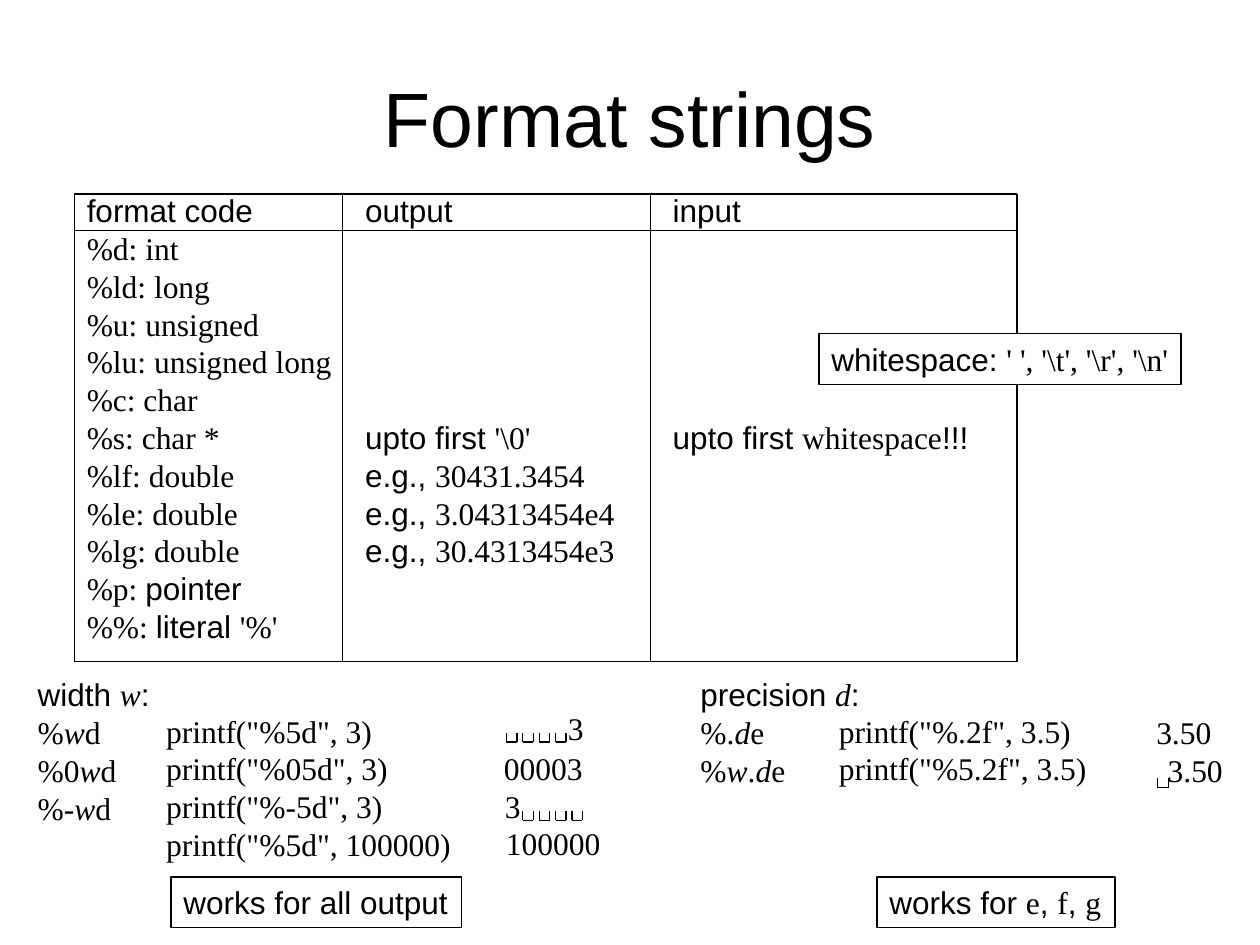
from pptx import Presentation
from pptx.dml.color import RGBColor
from pptx.enum.shapes import MSO_CONNECTOR, MSO_SHAPE
from pptx.enum.text import MSO_ANCHOR as Anchor, PP_ALIGN as Align
from pptx.oxml import parse_xml
from pptx.oxml.ns import nsdecls
from pptx.util import Cm, Pt

BLACK = RGBColor(0, 0, 0)
WHITE = RGBColor(255, 255, 255)
SANS, SERIF = "Arial", "Times New Roman"
LINE_PT = 21.6
LINE_CM = 0.76


def sans(text):
    return text, SANS, False


def code(text):
    return text, SERIF, False


def var(text):
    return text, SERIF, True


class Slide:
    def __init__(self, prs):
        self.s = prs.slides.add_slide(prs.slide_layouts[6])

    def title(self, text, x, y, w, h):
        tf = self.s.shapes.add_textbox(Cm(x), Cm(y), Cm(w), Cm(h)).text_frame
        tf.word_wrap = True
        tf.vertical_anchor = Anchor.MIDDLE
        p = tf.paragraphs[0]
        p.text = text
        p.alignment = Align.CENTER
        p.font.name, p.font.size, p.font.color.rgb = SANS, Pt(44), BLACK

    def fill_text(self, tf, lines, skipped=0):
        """Write the lines, leaving a gap of skipped lines below the first."""
        tf.word_wrap = False
        tf.vertical_anchor = Anchor.TOP
        for i, runs in enumerate(lines):
            p = tf.paragraphs[0] if i == 0 else tf.add_paragraph()
            p.alignment = Align.LEFT
            p.line_spacing = Pt(LINE_PT)
            if i == 1 and skipped:
                p.space_before = Pt(LINE_PT * skipped)
            p.font.size, p.font.color.rgb = Pt(18), BLACK
            for text, font, italic in runs:
                r = p.add_run()
                r.text = text
                if len(runs) == 1:
                    p.font.name = font
                else:
                    r.font.name, r.font.italic = font, italic

    def text(self, lines, x, y, w, skipped=0, shapes=None):
        h = (len(lines) + skipped) * LINE_CM + 0.25
        shapes = shapes or self.s.shapes
        sp = shapes.add_textbox(Cm(x), Cm(y), Cm(w), Cm(h))
        self.fill_text(sp.text_frame, lines, skipped)

    def note(self, runs, x, y, w, fill=None):
        sp = self.s.shapes.add_shape(MSO_SHAPE.RECTANGLE, Cm(x), Cm(y), Cm(w), Cm(1.02))
        sp.shadow.inherit = False
        if fill is None:
            sp.fill.background()
        else:
            sp.fill.solid()
            sp.fill.fore_color.rgb = fill
        sp.line.color.rgb, sp.line.width = BLACK, Pt(0.75)
        self.fill_text(sp.text_frame, [runs])

    def line(self, x1, y1, x2, y2, shapes=None):
        shapes = shapes or self.s.shapes
        c = shapes.add_connector(MSO_CONNECTOR.STRAIGHT, Cm(x1), Cm(y1), Cm(x2), Cm(y2))
        c.line.color.rgb, c.line.width = BLACK, Pt(0.75)
        c._element.spPr.append(parse_xml(f"<a:effectLst {nsdecls('a')}/>"))

    def padded(self, text, x, y, w, pad_x, pad_y, count):
        """A number grouped with its visible spaces, drawn as open boxes."""
        shapes = self.s.shapes.add_group_shape().shapes
        self.text([[code(text)]], x, y, w, shapes=shapes)
        for i in range(count):
            left = pad_x + 0.33 * i
            right, top = left + 0.21, pad_y - 0.19
            self.line(left, pad_y, right, pad_y, shapes)
            for side in (left, right):
                self.line(side, top, side, pad_y, shapes)


def main():
    prs = Presentation()
    prs.slide_width, prs.slide_height = Cm(25.4), Cm(19.05)
    s = Slide(prs)
    s.title("Format strings", 1.27, 0.76, 22.86, 3.18)

    # Table of format codes
    codes = ["%d: int", "%ld: long", "%u: unsigned", "%lu: unsigned long", "%c: char",
             "%s: char *", "%lf: double", "%le: double", "%lg: double"]
    s.text([[sans("format code")],
            *[[code(c)] for c in codes],
            [code("%p: "), sans("pointer")],
            [code("%%: "), sans("literal "), code("'%'")]], 1.5, 3.73, 5.7)
    examples = ["30431.3454", "3.04313454e4", "30.4313454e3"]
    s.text([[sans("output")],
            [sans("upto first "), code(r"'\0'")],
            *[[sans("e.g., "), code(e)] for e in examples]], 7.11, 3.73, 5.8, skipped=5)
    s.text([[sans("input")],
            [sans("upto first "), code("whitespace"), sans("!!!")]],
           13.31, 3.73, 6.8, skipped=5)
    columns, rows = (1.5, 6.91, 13.11, 20.5), (3.91, 4.65, 13.34)
    for x in columns:
        s.line(x, rows[0], x, rows[-1])
    for y in rows:
        s.line(columns[0], y, columns[-1], y)
    s.note([sans("whitespace: "), code(r"' ', '\t', '\r', '\n'")], 16.51, 6.73, 7.3, WHITE)

    # Width
    s.text([[sans("width "), var("w"), sans(":")],
            *[[code(start), var("w"), code("d")] for start in ("%", "%0", "%-")]],
           0.51, 13.49, 3)
    calls = ['"%5d", 3', '"%05d", 3', '"%-5d", 3', '"%5d", 100000']
    s.text([[code(f"printf({c})")] for c in calls], 3.1, 14.22, 6.5)
    s.padded("3", 11.2, 14.17, 1, 10.21, 14.96, 4)
    s.text([[code("00003")]], 9.91, 14.97, 2.4)
    s.padded("3", 9.93, 15.75, 1, 10.54, 16.54, 4)
    s.text([[code("100000")]], 9.95, 16.49, 2.8)
    s.note([sans("works for all output")], 3.45, 17.68, 5.85)

    # Precision
    s.text([[sans("precision "), var("d"), sans(":")],
            [code("%."), var("d"), code("e")],
            [code("%"), var("w"), code("."), var("d"), code("e")]], 13.87, 13.49, 4.1)
    s.text([[code(f'printf("{f}", 3.5)')] for f in ("%.2f", "%5.2f")], 16.66, 14.22, 5.8)
    s.text([[code("3.50")]], 23.06, 14.25, 1.9)
    s.padded("3.50", 23.29, 15.01, 1.9, 23.34, 15.88, 1)
    s.note([sans("works for "), code("e"), sans(", "), code("f"), sans(", "), code("g")],
           17.68, 17.68, 4.8)

    prs.save("out.pptx")


if __name__ == "__main__":
    main()
